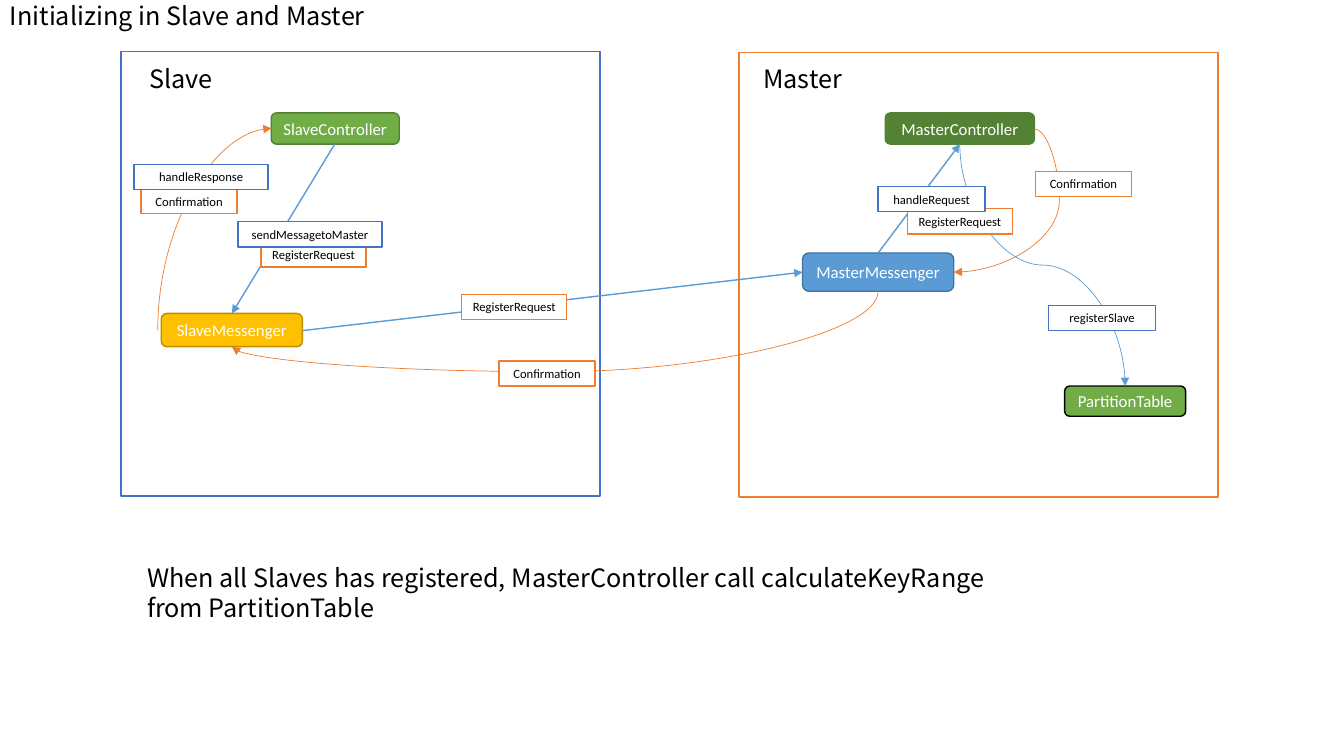
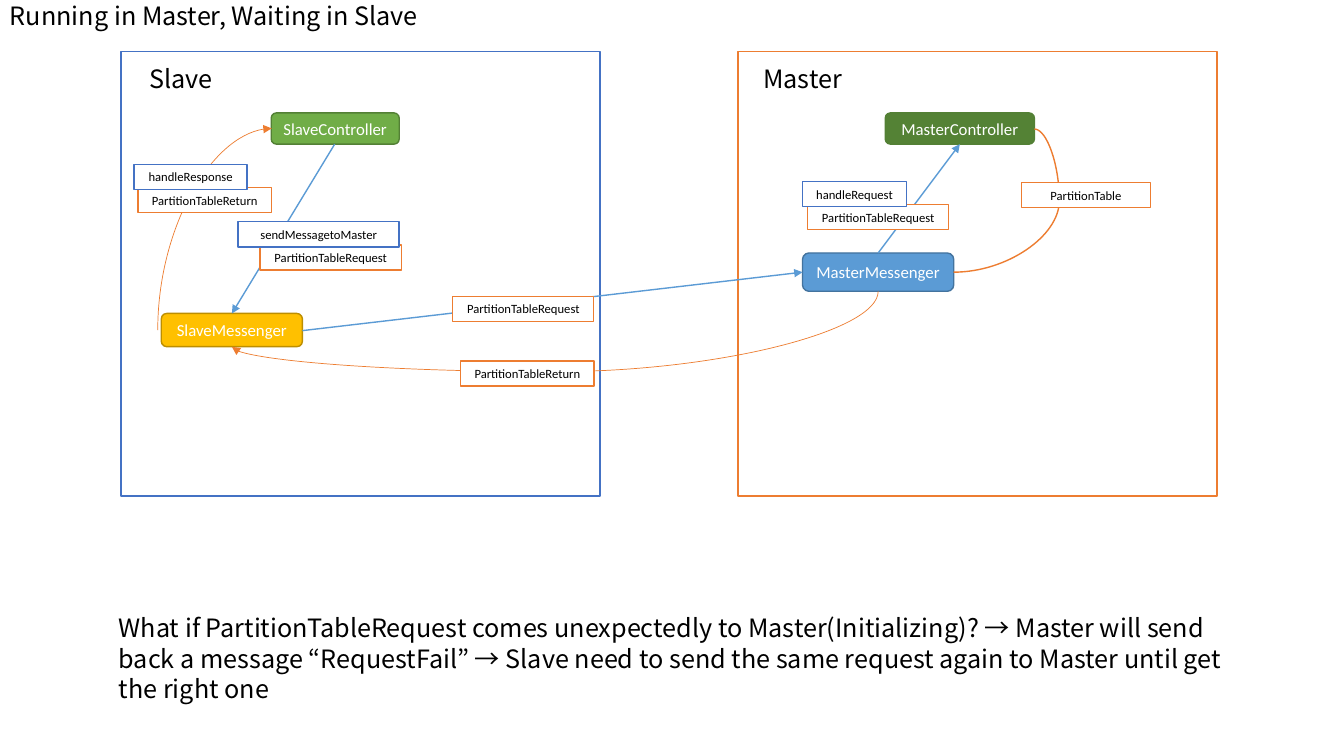
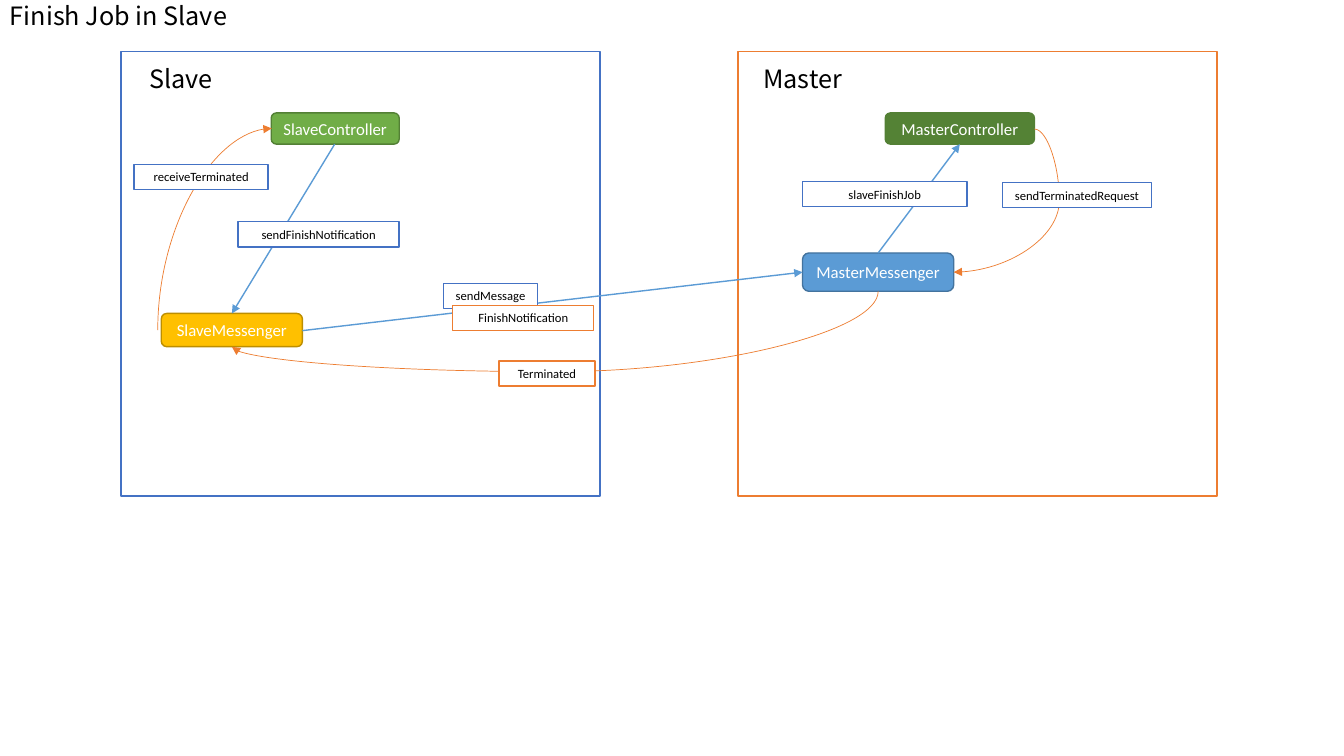
from pptx import Presentation
from pptx.dml.color import RGBColor as Rgb
from pptx.enum.shapes import MSO_CONNECTOR as Conn, MSO_SHAPE as Shape
from pptx.enum.text import MSO_ANCHOR as Anchor, MSO_AUTO_SIZE as Fit, PP_ALIGN as Align
from pptx.oxml.ns import qn
from pptx.oxml.xmlchemy import OxmlElement as Tag
from pptx.util import Inches, Pt

HUES = {
    "white": "FFFFFF", "black": "000000", "blue": "4472C4", "sky": "5B9BD5",
    "navy": "43739E", "orange": "ED7D31", "green": "70AD47", "moss": "538035",
    "forest": "548235", "gold": "FFC000", "ochre": "BD8E00",
}
HEAD, BODY = "Noto Sans CJK KR", "Calibri"

NODES = [
    ("SlaveController", (2.69, 1.12, 1.27, 0.31), "green", "moss"),
    ("SlaveMessenger", (1.6, 3.11, 1.4, 0.33), "gold", "ochre"),
    ("MasterMessenger", (7.96, 2.51, 1.5, 0.38), "sky", "navy"),
    ("MasterController", (8.78, 1.12, 1.48, 0.31), "forest", "moss"),
]
TABLE = ("PartitionTable", (10.56, 3.83, 1.2, 0.3), "green", "black")
ARROWS = [
    ((3.32, 1.43), (2.3, 3.11)),
    ((3, 3.28), (7.96, 2.7)),
    ((8.71, 2.51), (9.52, 1.43)),
]

SLIDES = [
    {
        "title": ("Initializing in Slave and Master", 3.84),
        "master": (7.33, 0.52),
        "table": True,
        "note": ("When all Slaves has registered, MasterController call "
                 "calculateKeyRange from PartitionTable", (1.36, 5.53, 8.68, 0.71)),
        "tags": [
            ("Confirmation", 4.95, 3.58, 0.95, "orange"),
            ("RegisterRequest", 4.58, 2.92, 1.04, "orange"),
            ("Confirmation", 10.27, 1.7, 0.95, "orange"),
            ("RegisterRequest", 2.59, 2.4, 1.04, "orange"),
            ("sendMessagetoMaster", 2.36, 2.2, 1.43, "blue"),
            ("Confirmation", 1.4, 1.87, 0.95, "orange"),
            ("handleResponse", 1.33, 1.63, 1.33, "blue"),
            ("RegisterRequest", 9, 2.07, 1.04, "orange"),
            ("handleRequest", 8.71, 1.85, 1.06, "blue"),
            ("registerSlave", 10.4, 3.03, 1.06, "blue"),
        ],
    },
    {
        "title": ("Running in Master, Waiting in Slave", 4.72),
        "plain": True,
        "note": ("What if PartitionTableRequest comes unexpectedly to "
                 "Master(Initializing)? → Master will send back a message "
                 "“RequestFail” → Slave need to send the same request again "
                 "to Master until get the right one", (1.08, 6.03, 11.23, 1.01)),
        "tags": [
            ("PartitionTableReturn", 4.57, 3.58, 1.32, "orange"),
            ("PartitionTableRequest", 4.49, 2.94, 1.4, "orange"),
            ("PartitionTable", 10.13, 1.81, 1.28, "orange"),
            ("PartitionTableRequest", 8.01, 2.03, 1.4, "orange"),
            ("handleRequest", 7.96, 1.8, 1.03, "blue"),
            ("PartitionTableRequest", 2.58, 2.43, 1.4, "orange"),
            ("sendMessagetoMaster", 2.36, 2.2, 1.6, "blue"),
            ("PartitionTableReturn", 1.37, 1.86, 1.32, "orange"),
            ("handleResponse", 1.33, 1.63, 1.12, "blue"),
        ],
    },
    {
        "title": ("Finish Job in Slave", 4.72),
        "tags": [
            ("sendFinishNotification", 2.36, 2.2, 1.6, "blue"),
            ("Terminated", 4.95, 3.58, 0.95, "orange"),
            ("slaveFinishJob", 7.96, 1.8, 1.63, "blue"),
            ("sendMessage", 4.4, 2.81, 0.93, "blue"),
            ("FinishNotification", 4.49, 3.03, 1.4, "orange"),
            ("receiveTerminated", 1.33, 1.63, 1.33, "blue"),
            ("sendTerminatedRequest", 9.94, 1.81, 1.48, "blue"),
        ],
    },
]


def hue(name):
    """Return the named colour."""
    return Rgb.from_string(HUES[name])


def write(shape, text, font, size, tone="black", align=Align.CENTER):
    """Fill a shape with one styled paragraph."""
    frame = shape.text_frame
    frame.word_wrap = True
    line = frame.paragraphs[0]
    line.text = text
    line.alignment = align
    line.font.name = font
    line.font.size = Pt(size)
    line.font.color.rgb = hue(tone)
    return frame


def box(slide, kind, area, fill, edge):
    """Add a filled and outlined preset shape."""
    shape = slide.shapes.add_shape(kind, *map(Inches, area))
    shape.shadow.inherit = False
    shape.fill.solid()
    shape.fill.fore_color.rgb = hue(fill)
    shape.line.color.rgb = hue(edge)
    shape.line.width = Pt(1)
    return shape


def node(slide, text, area, fill, edge):
    """Add a rounded component box."""
    shape = box(slide, Shape.ROUNDED_RECTANGLE, area, fill, edge)
    write(shape, text, BODY, 12, "white").vertical_anchor = Anchor.MIDDLE


def label(slide, text, left, top, width, edge):
    """Add a message label."""
    shape = box(slide, Shape.RECTANGLE, (left, top, width, 0.25), "white", edge)
    frame = write(shape, text, BODY, 9)
    frame.vertical_anchor = Anchor.TOP
    frame.auto_size = Fit.SHAPE_TO_FIT_TEXT


def words(slide, text, area, align=Align.LEFT):
    """Add a plain text box."""
    frame = write(slide.shapes.add_textbox(*map(Inches, area)), text, HEAD, 18, align=align)
    frame.auto_size = Fit.SHAPE_TO_FIT_TEXT


def panel(slide, text, spot, edge, area):
    """Add a large outlined panel and its heading."""
    box(slide, Shape.RECTANGLE, (*spot, 4.75, 4.41), "white", edge)
    words(slide, text, area, Align.CENTER)


def link(slide, start, end, tone="sky", width=1, kind=Conn.STRAIGHT, head=True):
    """Add a connector, with an arrowhead unless told otherwise."""
    line = slide.shapes.add_connector(kind, *map(Inches, (*start, *end)))
    line.line.color.rgb = hue(tone)
    line.line.width = Pt(width)
    if head:
        tip = Tag("a:tailEnd")
        tip.set("type", "triangle")
        line.line._get_or_add_ln().append(tip)
    line.element.spPr.append(Tag("a:effectLst"))
    return line


def curve(slide, start, end, tone="orange", width=0.5, turn=0, bend=None, form=3, head=True):
    """Add a curved connector; start and end are its corners before the turn."""
    props = link(slide, start, end, tone, width, Conn.CURVE, head).element.spPr
    if turn:
        props.find(qn("a:xfrm")).set("rot", str(turn * 60000))
    geom = props.find(qn("a:prstGeom"))
    geom.set("prst", f"curvedConnector{form}")
    if bend is not None:
        guide = Tag("a:gd")
        guide.set("name", "adj1")
        guide.set("fmla", f"val {round(bend * 100000)}")
        geom.get_or_add_avLst().append(guide)


def build(slide, data):
    """Draw one message flow between slave and master."""
    panel(slide, "Slave", (1.2, 0.51), "blue", (1.36, 0.58, 0.87, 0.4))
    panel(slide, "Master", data.get("master", (7.32, 0.51)), "orange", (7.46, 0.58, 1, 0.4))
    text, width = data["title"]
    words(slide, text, (0, -0.05, width, 0.4))
    for item in NODES:
        node(slide, *item)
    for start, end in ARROWS:
        link(slide, start, end)
    plain = data.get("plain", False)
    curve(slide, (5.23, -0.04), (5.78, 6.37), turn=90, bend=1.45)
    curve(slide, (10.26, 1.28), (9.46, 2.7), width=1 if plain else 0.5, bend=-0.31, head=not plain)
    curve(slide, (3.13, 2.84), (1.13, 1.71), turn=90, form=2)
    if data.get("table"):
        node(slide, *TABLE)
        curve(slide, (11.54, 1.81), (9.14, 3.45), "sky", turn=270)
    for item in data["tags"]:
        label(slide, *item)
    if "note" in data:
        words(slide, *data["note"])


def main():
    """Build and save the deck."""
    deck = Presentation()
    deck.slide_width, deck.slide_height = Inches(13.33), Inches(7.5)
    for data in SLIDES:
        build(deck.slides.add_slide(deck.slide_layouts[6]), data)
    deck.save("out.pptx")


main()
